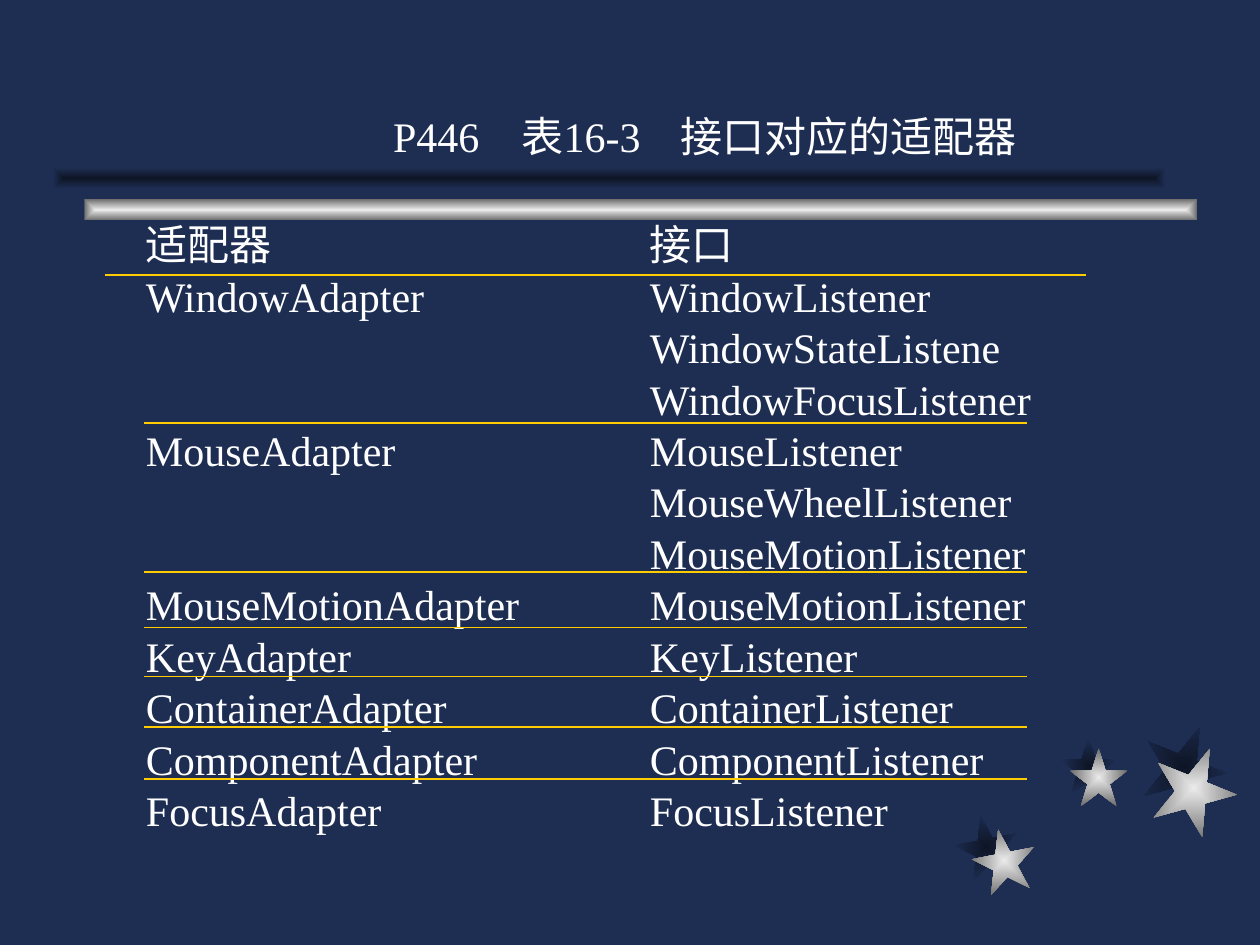
"""Build a slide that lists the Java event adapters and their interfaces."""
from lxml import etree
from pptx import Presentation
from pptx import util as u
from pptx.dml import color
from pptx.enum import shapes, text
from pptx.oxml import ns

HUES = {"back": "1E2E53", "dark": "0E1526", "light": "EAEAEA",
        "grey": "6C6C6C", "white": "FFFFFF", "gold": "FFCC00"}


def write(box, rows, tabs, size=24, face="Times New Roman", hue="white", gap=0, space=1.0):
    """Fill a box with tabbed rows, one paragraph each."""
    frame = box.text_frame
    frame.word_wrap = True
    frame.auto_size = text.MSO_AUTO_SIZE.NONE
    frame.vertical_anchor = text.MSO_ANCHOR.TOP
    for i, row in enumerate(rows):
        para = frame.paragraphs[0] if i == 0 else frame.add_paragraph()
        para.text = "\t".join(row)
        stops = etree.SubElement(para._p.get_or_add_pPr(), ns.qn("a:tabLst"))
        for tab in tabs:
            etree.SubElement(stops, ns.qn("a:tab"), pos=str(u.Inches(tab)), algn="l")
        para.alignment = text.PP_ALIGN.LEFT
        para.line_spacing = space
        para.space_before = u.Pt(gap if i else 0)
        for run in para.runs:
            run.font.size = u.Pt(size)
            run.font.name = face
            run.font.color.rgb = color.RGBColor.from_string(HUES[hue])


def glow(kind, left, top, wide, high, inner, outer, turn=0):
    """Draw a shape shaded from its centre to its edges."""
    shape = slide.shapes.add_shape(kind, *map(u.Inches, (left, top, wide, high)))
    shape.rotation = turn
    shape.shadow.inherit = False
    shape.line.fill.background()
    shape.fill.gradient()
    for stop, hue, place in zip(shape.fill.gradient_stops, (inner, outer), (0, 1)):
        stop.color.rgb = color.RGBColor.from_string(HUES[hue])
        stop.position = place
    grad = shape._element.spPr.find(ns.qn("a:gradFill"))
    grad.remove(grad.find(ns.qn("a:lin")))
    path = etree.SubElement(grad, ns.qn("a:path"), path="rect")
    etree.SubElement(path, ns.qn("a:fillToRect"), l="50000", t="50000", r="50000", b="50000")


deck = Presentation()
deck.slide_width, deck.slide_height = u.Inches(10), u.Inches(7.5)
slide = deck.slides.add_slide(deck.slide_layouts[5])
slide.background.fill.solid()
slide.background.fill.fore_color.rgb = color.RGBColor.from_string(HUES["back"])

STAR = shapes.MSO_SHAPE.STAR_5_POINT
BAR = shapes.MSO_SHAPE.RECTANGLE
stars = [(7.72, 6.58, 0.5, 349, 0.14, 0.11),
         (8.49, 5.94, 0.46, 0, 0.08, 0.09),
         (9.14, 5.92, 0.67, 22, 0.08, 0.17)]
for left, top, size, turn, over, up in stars:
    glow(STAR, left - over, top - up, size, size, "dark", "back", turn)
for left, top, size, turn, over, up in stars:
    glow(STAR, left, top, size, size, "light", "grey", turn)
glow(BAR, 0.67, 1.58, 8.83, 0.17, "light", "grey")
glow(BAR, 0.42, 1.33, 8.83, 0.17, "dark", "back")

title = slide.shapes.title
title.left, title.top, title.width, title.height = map(u.Inches, (3.02, 0.83, 5.4, 0.5))
write(title, [("P446", "表16-3", "接口对应的适配器")], tabs=(1.02, 2.28))

body = slide.shapes.add_textbox(*map(u.Inches, (1.06, 1.86, 7.95, 4.79)))
write(body, [
    ("适配器", "接口"),
    ("WindowAdapter", "WindowListener"),
    ("", "WindowStateListene"),
    ("", "WindowFocusListener"),
    ("MouseAdapter", "MouseListener"),
    ("", "MouseWheelListener"),
    ("", "MouseMotionListener"),
    ("MouseMotionAdapter", "MouseMotionListener"),
    ("KeyAdapter", "KeyListener"),
    ("ContainerAdapter", "ContainerListener"),
    ("ComponentAdapter", "ComponentListener"),
    ("FocusAdapter", "FocusListener"),
], tabs=(4,), gap=15, space=0.5)

rules = [(0.83, 8.62, 2.18)] + [(1.14, 8.15, y) for y in (3.36, 4.54, 4.98, 5.37, 5.77, 6.18)]
for start, end, y in rules:
    rule = slide.shapes.add_connector(
        shapes.MSO_CONNECTOR.STRAIGHT, *map(u.Inches, (start, y, end, y)))
    rule.line.width = u.Pt(1)
    rule.line.color.rgb = color.RGBColor.from_string(HUES["gold"])
    etree.SubElement(rule._element.spPr, ns.qn("a:effectLst"))

deck.save("out.pptx")
